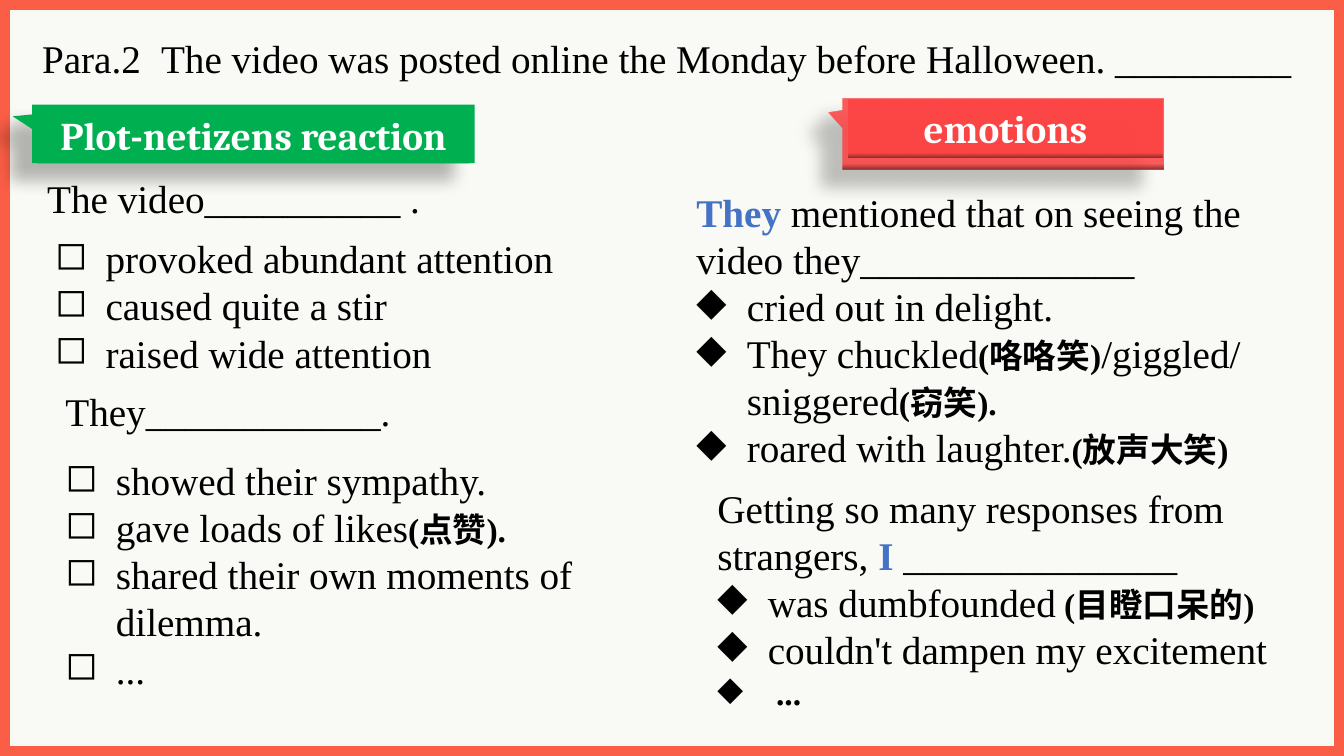
from lxml.etree import SubElement
from pptx import Presentation
from pptx.dml.color import RGBColor
from pptx.enum.shapes import MSO_SHAPE
from pptx.enum.text import MSO_AUTO_SIZE, PP_ALIGN
from pptx.oxml.ns import qn
from pptx.util import Cm, Pt

THEME = {
    "paper": RGBColor.from_string("F9F9F5"),
    "border": RGBColor.from_string("FB5E46"),
    "green": RGBColor.from_string("00B050"),
    "red": RGBColor.from_string("FE4444"),
    "dark_red": RGBColor.from_string("832B2B"),
    "shadow": "000000",
    "ink": RGBColor.from_string("000000"),
    "blue": RGBColor.from_string("4472C4"),
    "white": RGBColor.from_string("FFFFFF"),
    "body": {"name": "Times New Roman", "size": Pt(28), "bold": False},
    "note": {"name": "Times New Roman", "size": Pt(24), "bold": True},
    "accent": {"name": "Times New Roman", "size": Pt(28), "bold": True},
    "label": {"name": "Cambria", "size": Pt(28), "bold": True},
}
RUN_COLOURS = {"body": "ink", "note": "ink", "accent": "blue", "label": "white"}
HANGING = 1.27
WIDE_HANGING = 1.48


def add_text(shapes, box, paragraphs, wrap=True):
    shape = shapes.add_textbox(*map(Cm, box))
    frame = shape.text_frame
    frame.word_wrap = wrap
    frame.auto_size = MSO_AUTO_SIZE.SHAPE_TO_FIT_TEXT
    for index, (bullet, margin, runs) in enumerate(paragraphs):
        paragraph = frame.add_paragraph() if index else frame.paragraphs[0]
        properties = paragraph._p.get_or_add_pPr()
        if margin:
            properties.set("marL", str(Cm(margin)))
        if bullet:
            properties.set("indent", str(-Cm(margin)))
            SubElement(properties, qn("a:buChar"), char=bullet)
        for text, style in runs:
            run = paragraph.add_run()
            run.text = text
            for name, value in THEME[style].items():
                setattr(run.font, name, value)
            run.font.color.rgb = THEME[RUN_COLOURS[style]]
    return shape


def paint(shape, colour):
    if colour == "red":
        shape.fill.gradient()
        shape.fill.gradient_angle = 270
        stops = shape.fill.gradient_stops
        for stop, position, name in zip(stops, (0.91, 1), ("red", "dark_red")):
            stop.position = position
            stop.color.rgb = THEME[name]
        first_colour = shape._element.spPr.find(".//" + qn("a:srgbClr"))
        SubElement(first_colour, qn("a:alpha"), val="86000")
    else:
        shape.fill.solid()
        shape.fill.fore_color.rgb = THEME[colour]
    shape.line.fill.background()
    shape.shadow.inherit = False


presentation = Presentation()
presentation.slide_width = Cm(33.87)
presentation.slide_height = Cm(19.05)
slide = presentation.slides.add_slide(presentation.slide_layouts[6])
slide.background.fill.solid()
slide.background.fill.fore_color.rgb = THEME["paper"]

border = slide.shapes.add_shape(
    MSO_SHAPE.FRAME, 0, 0, presentation.slide_width, presentation.slide_height
)
border.adjustments[0] = 0.013
paint(border, "border")

opening = "Para.2\tThe video was posted online the Monday before Halloween. _________"
title = add_text(slide.shapes, (0.81, 0.74, 32.49, 1.45), [(None, 0, [(opening, "body")])])
title_properties = title.text_frame.paragraphs[0]._p.get_or_add_pPr()
tab_stops = SubElement(title_properties, qn("a:tabLst"))
SubElement(tab_stops, qn("a:tab"), pos=str(Cm(3)), algn="l")

headings = [
    ("Plot-netizens reaction", "green", (0.81, 2.64, 11.15, 1.47), (0.94, 2.67, 10.9, 1.45)),
    ("emotions", "red", (21.23, 2.49, 8.1, 1.78), (21.39, 2.51, 7.9, 1.45)),
]
for text, colour, callout_box, label_box in headings:
    group = slide.shapes.add_group_shape()
    callout = group.shapes.add_shape(MSO_SHAPE.RECTANGULAR_CALLOUT, *map(Cm, callout_box))
    callout.adjustments[0] = -0.544
    callout.adjustments[1] = -0.301
    paint(callout, colour)
    effects = callout._element.spPr.find(qn("a:effectLst"))
    shadow = SubElement(
        effects, qn("a:outerShdw"), blurRad=str(Pt(11.8)), dist=str(Pt(19.7)),
        dir=str(141 * 60000), algn="ctr", rotWithShape="0",
    )
    shadow_colour = SubElement(shadow, qn("a:srgbClr"), val=THEME["shadow"])
    SubElement(shadow_colour, qn("a:alpha"), val="28000")
    label = add_text(group.shapes, label_box, [(None, 0, [(text, "label")])])
    label.text_frame.paragraphs[0].alignment = PP_ALIGN.CENTER
    paint(label, colour)

text_blocks = [
    ((0.94, 4.27, 9.93, 1.45), False, [(None, 0, [("The video__________ .", "body")])]),
    ((1.14, 5.79, 13.08, 3.84), False, [
        ("◻", HANGING, [("provoked abundant attention", "body")]),
        ("◻", HANGING, [("caused quite a stir", "body")]),
        ("◻", HANGING, [("raised wide attention", "body")]),
    ]),
    ((1.4, 9.63, 8.71, 1.45), False, [(None, 0, [("They____________.", "body")])]),
    ((1.4, 11.38, 13.54, 6.25), False, [
        ("◻", HANGING, [("showed their sympathy.", "body")]),
        ("◻", HANGING, [("gave loads of likes", "body"), ("(点赞).", "note")]),
        ("◻", HANGING, [("shared their own moments of", "body")]),
        (None, HANGING, [("dilemma.", "body")]),
        ("◻", HANGING, [("...", "body")]),
    ]),
    ((17.3, 4.62, 16.05, 7.44), True, [
        (None, 0, [
            ("They", "accent"),
            (" mentioned that on seeing the video they______________", "body"),
        ]),
        ("◆", HANGING, [("cried out in delight.", "body")]),
        ("◆", HANGING, [("They chuckled", "body"), ("(咯咯笑)", "note"), ("/giggled/", "body")]),
        (None, HANGING, [("sniggered", "body"), ("(窃笑).", "note")]),
        ("◆", HANGING, [("roared with laughter.", "body"), ("(放声大笑)", "note")]),
    ]),
    ((17.83, 12.07, 16.03, 6.07), True, [
        (None, 0, [
            ("Getting so many responses from strangers, ", "body"),
            ("I", "accent"),
            (" ______________", "body"),
        ]),
        ("◆", HANGING, [("was dumbfounded", "body"), (" (目瞪口呆的)", "note")]),
        ("◆", HANGING, [("couldn't dampen my excitement", "body")]),
        ("◆", WIDE_HANGING, [("...", "note")]),
    ]),
]
for box, wrap, paragraphs in text_blocks:
    add_text(slide.shapes, box, paragraphs, wrap)

presentation.save("out.pptx")
